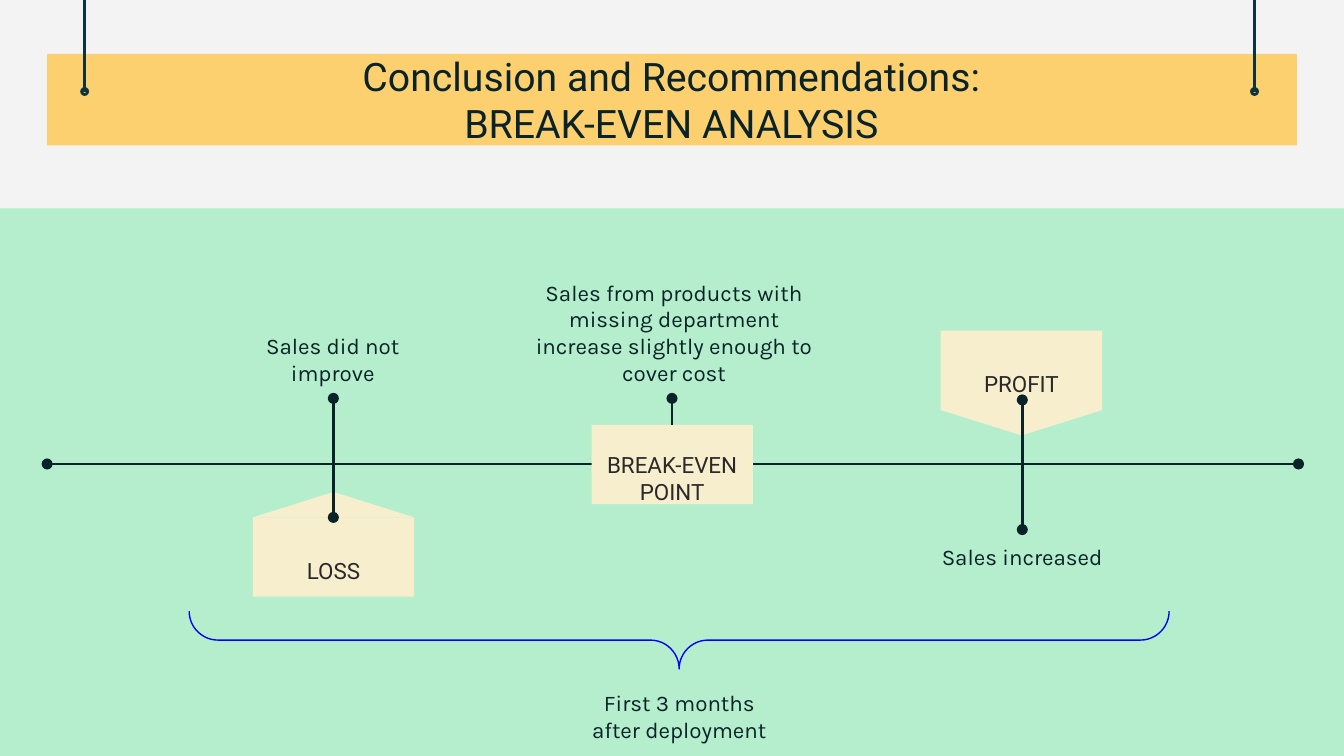
from dataclasses import dataclass

from lxml.etree import SubElement
from pptx import Presentation
from pptx.dml.color import RGBColor
from pptx.enum.shapes import MSO_CONNECTOR, MSO_SHAPE
from pptx.enum.text import MSO_ANCHOR, MSO_AUTO_SIZE, PP_ALIGN
from pptx.oxml.ns import qn
from pptx.util import Cm, Pt

INK, PIN, BOX_INK = "092329", "0C343D", "2A2929"
CREAM, YELLOW, GREEN, GREY, BLUE = "F7EECE", "FCD06F", "B5EECC", "F3F3F3", "0000FF"
BOX_W, BOX_H, TIP_H = 3.05, 1.5, 0.48


@dataclass
class Stage:
    name: str
    left: float
    top: float


@dataclass
class Caption:
    text: str
    left: float
    top: float
    width: float = 4.24
    anchor: MSO_ANCHOR = MSO_ANCHOR.TOP


@dataclass
class Line:
    x1: float
    y1: float
    x2: float
    y2: float
    color: str = INK
    start_dot: bool = True
    end_dot: bool = True


STAGES = [
    Stage("BREAK-EVEN POINT", 11.18, 8.03),
    Stage("LOSS", 4.78, 9.78),
    Stage("PROFIT", 17.78, 6.25),
]
CAPTIONS = [
    Caption("Sales increased", 17.2, 10.01),
    Caption("Sales from products with missing department increase slightly enough to cover cost",
            9.83, 6.15, 5.82, MSO_ANCHOR.BOTTOM),
    Caption("Sales did not improve", 4.17, 6.15, anchor=MSO_ANCHOR.BOTTOM),
    Caption("First 3 months after deployment", 10.72, 12.78),
]
AXIS = Line(0.89, 8.77, 24.54, 8.77)
STEMS = [
    Line(6.3, 7.53, 6.3, 9.78),
    Line(12.7, 7.53, 12.7, 8.03, end_dot=False),
    Line(19.32, 10.01, 19.32, 7.56),
]


def rgb(color: str) -> RGBColor:
    return RGBColor.from_string(color)


def add_filled(s, kind, left: float, top: float, width: float, height: float, color: str):
    sp = s.shapes.add_shape(kind, Cm(left), Cm(top), Cm(width), Cm(height))
    sp.shadow.inherit = False
    sp.fill.solid()
    sp.fill.fore_color.rgb = rgb(color)
    sp.line.fill.background()
    return sp


def write(sp, text: str, font: str, size: float, color: str, anchor, insets) -> None:
    """Fill a text frame with centred lines; insets are left, top, right, bottom."""
    tf = sp.text_frame
    tf.text = text
    tf.word_wrap = True
    tf.auto_size = MSO_AUTO_SIZE.NONE
    tf.vertical_anchor = anchor
    tf.margin_left, tf.margin_top, tf.margin_right, tf.margin_bottom = map(Cm, insets)
    for p in tf.paragraphs:
        p.alignment = PP_ALIGN.CENTER
        p.space_before = Pt(0)
        p.font.name = font
        p.font.size = Pt(size)
        p.font.color.rgb = rgb(color)


def add_line(s, line: Line) -> None:
    c = s.shapes.add_connector(MSO_CONNECTOR.STRAIGHT, Cm(line.x1), Cm(line.y1),
                               Cm(line.x2), Cm(line.y2))
    c.line.width = Pt(1.5)
    c.line.color.rgb = rgb(line.color)
    ln = c.line._get_or_add_ln()
    for tag, dotted in (("a:headEnd", line.start_dot), ("a:tailEnd", line.end_dot)):
        if dotted:
            SubElement(ln, qn(tag), type="oval")
    SubElement(c._element.spPr, qn("a:effectLst"))


def add_pin(s, x: float) -> None:
    """Hang a thin line ending in a small ring from the top edge."""
    add_line(s, Line(x, 0, x, 1.73, PIN, False, False))
    ring = add_filled(s, MSO_SHAPE.DONUT, x - 0.07, 1.66, 0.14, 0.14, PIN)
    ring.adjustments[0] = 0.2
    ring.line.color.rgb = rgb(PIN)
    ring.line.width = Pt(0.75)


def add_stage(s, stage: Stage) -> None:
    sp = add_filled(s, MSO_SHAPE.RECTANGLE, stage.left, stage.top, BOX_W, BOX_H, CREAM)
    write(sp, stage.name, "Roboto", 12, BOX_INK, MSO_ANCHOR.MIDDLE, (0.25, 0.51, 0.25, 0))


def add_caption(s, cap: Caption) -> None:
    sp = s.shapes.add_textbox(Cm(cap.left), Cm(cap.top), Cm(cap.width), Cm(1.4))
    write(sp, cap.text, "Karla", 12, INK, cap.anchor, [0.25] * 4)


def add_title(s) -> None:
    title = s.shapes.title
    title.left, title.top, title.width, title.height = Cm(17.76 / 4 - 0.63), Cm(0.74), Cm(17.76), Cm(1.6)
    title.left = Cm(3.81)
    write(title, "Conclusion and Recommendations:\nBREAK-EVEN ANALYSIS", "Roboto", 21, INK,
          MSO_ANCHOR.TOP, [0.25] * 4)
    s.shapes._spTree.append(title._element)


def add_brace(s) -> None:
    brace = s.shapes.add_shape(MSO_SHAPE.RIGHT_BRACE, Cm(12.29), Cm(2.84), Cm(1.09), Cm(18.52))
    brace.rotation = 90
    brace.adjustments[0] = 0.5
    brace.shadow.inherit = False
    brace.fill.background()
    brace.line.color.rgb = rgb(BLUE)
    brace.line.width = Pt(0.75)


def main() -> None:
    prs = Presentation()
    prs.slide_width, prs.slide_height = Cm(25.4), Cm(14.29)
    s = prs.slides.add_slide(prs.slide_layouts.get_by_name("Title Only"))
    s.background.fill.solid()
    s.background.fill.fore_color.rgb = rgb(GREY)

    add_filled(s, MSO_SHAPE.RECTANGLE, 0, 3.94, 25.4, 10.35, GREEN)
    add_filled(s, MSO_SHAPE.RECTANGLE, 0.89, 1.02, 23.62, 1.73, YELLOW)
    for x in (1.6, 23.71):
        add_pin(s, x)
    add_title(s)

    _, loss, profit = STAGES
    add_filled(s, MSO_SHAPE.ISOSCELES_TRIANGLE, loss.left, loss.top - TIP_H, BOX_W, TIP_H, CREAM)
    tip = add_filled(s, MSO_SHAPE.ISOSCELES_TRIANGLE, profit.left, profit.top + BOX_H,
                     BOX_W, TIP_H, CREAM)
    tip.rotation = 180
    add_line(s, AXIS)
    for stage in STAGES:
        add_stage(s, stage)
    for cap in CAPTIONS:
        add_caption(s, cap)
    for stem in STEMS:
        add_line(s, stem)
    add_brace(s)
    prs.save("out.pptx")


if __name__ == "__main__":
    main()
